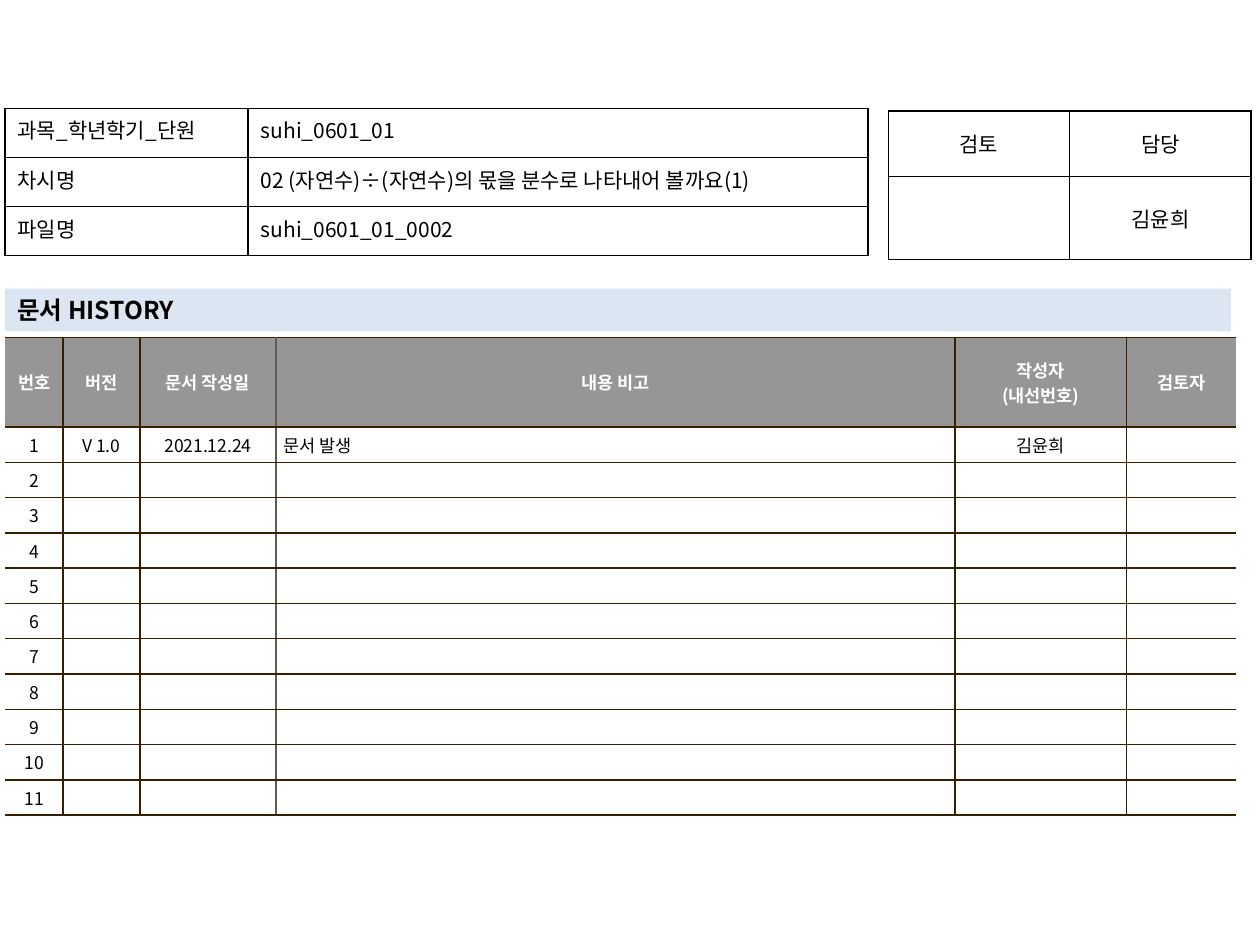
from lxml import etree
from pptx import Presentation
from pptx.dml.color import RGBColor
from pptx.enum.shapes import MSO_SHAPE
from pptx.enum.text import MSO_ANCHOR, PP_ALIGN
from pptx.oxml.ns import qn
from pptx.util import Inches, Pt

RECTANGLE = MSO_SHAPE.RECTANGLE
TOP, MIDDLE = MSO_ANCHOR.TOP, MSO_ANCHOR.MIDDLE
LEFT, CENTER, JUSTIFY = PP_ALIGN.LEFT, PP_ALIGN.CENTER, PP_ALIGN.JUSTIFY

FONT = "Noto Sans CJK KR"
COLORS = {
    "text": "000000",
    "white": "FFFFFF",
    "header": "969696",
    "banner": "DCE6F2",
    "brown": "362000",
    "taupe": "645B4C",
}
MARGIN = 0.04
VERSION_COUNT = 11
DATE_COLUMN = 2


def color(name):
    return RGBColor.from_string(COLORS[name])


def style_text(frame, size, shade="text", bold=False, align=LEFT):
    for para in frame.paragraphs:
        para.alignment = align
        for span in para.runs:
            span.font.size = Pt(size)
            span.font.name = FONT
            span.font.bold = bold
            span.font.color.rgb = color(shade)
            east_asian = etree.SubElement(span.font._element, qn("a:ea"))
            east_asian.set("typeface", FONT)
        if not para.runs:
            ending = etree.SubElement(para._p, qn("a:endParaRPr"))
            ending.set("sz", str(size * 100))


def set_borders(cell, borders):
    properties = cell._tc.get_or_add_tcPr()
    for index, side in enumerate("LRTB"):
        line = etree.Element(qn(f"a:ln{side}"), w=str(Pt(1)))
        shade = borders.get(side)
        if shade:
            fill = etree.SubElement(line, qn("a:solidFill"))
            etree.SubElement(fill, qn("a:srgbClr"), val=COLORS[shade])
        else:
            etree.SubElement(line, qn("a:noFill"))
        properties.insert(index, line)


def set_cell(cell, text, size, align, anchor=MIDDLE, inset=(0.1, 0.05),
             fill=None, shade="text", bold=False, borders=None):
    cell.text_frame.text = text
    style_text(cell.text_frame, size, shade, bold, align)
    cell.vertical_anchor = anchor
    cell.margin_left = cell.margin_right = Inches(inset[0])
    cell.margin_top = cell.margin_bottom = Inches(inset[1])
    if fill:
        cell.fill.solid()
        cell.fill.fore_color.rgb = color(fill)
    else:
        cell.fill.background()
    set_borders(cell, borders or dict.fromkeys("LRTB", "text"))


def add_grid(page, left, top, widths, heights):
    frame = page.shapes.add_table(
        len(heights), len(widths), Inches(left), Inches(top),
        Inches(sum(widths)), Inches(sum(heights)))
    table = frame.table
    table.first_row = table.horz_banding = False
    for column, width in zip(table.columns, widths):
        column.width = Inches(width)
    for row, height in zip(table.rows, heights):
        row.height = Inches(height)
    return table


def add_history(page):
    headers = ["번호", "버전", "문서 작성일", "내용 비고", "작성자\n(내선번호)", "검토자"]
    first = ["1", "V 1.0", "2021.12.24", "문서 발생", "김윤희", ""]
    blank = [""] * (len(headers) - 1)
    rows = [headers, first]
    rows += [[str(number)] + blank for number in range(2, VERSION_COUNT + 1)]
    table = add_grid(page, MARGIN, 2.68, [0.46, 0.61, 1.08, 5.39, 1.36, 0.87],
                     [0.71] + [0.28] * VERSION_COUNT)
    last = len(headers) - 1
    for row, texts in enumerate(rows):
        heading = row == 0
        for column, text in enumerate(texts):
            borders = dict.fromkeys("LRTB", "brown")
            if column == 0:
                borders["L"] = None
            if column == last:
                borders["R"] = None
            if column == DATE_COLUMN:
                borders["R"] = "taupe"
            if column == DATE_COLUMN + 1:
                borders["L"] = "taupe"
            note = column == DATE_COLUMN + 1 and not heading
            set_cell(table.cell(row, column), text, 10,
                     LEFT if note else CENTER, inset=(0.06, 0.04),
                     fill="header" if heading else "white",
                     shade="white" if heading else "text",
                     bold=heading, borders=borders)


def add_approval(page):
    table = add_grid(page, 7.05, 0.88, [1.44] * 2, [0.52, 0.66])
    for row, texts in enumerate([["검토", "담당"], ["", "김윤희"]]):
        for column, text in enumerate(texts):
            set_cell(table.cell(row, column), text, 12, CENTER)


def add_banner(page):
    banner = page.shapes.add_shape(RECTANGLE, Inches(MARGIN), Inches(2.29),
                                   Inches(9.73), Inches(0.34))
    banner.shadow.inherit = False
    banner.fill.solid()
    banner.fill.fore_color.rgb = color("banner")
    banner.line.fill.background()
    banner.text_frame.text = "문서 HISTORY"
    banner.text_frame.word_wrap = True
    banner.text_frame.vertical_anchor = MIDDLE
    style_text(banner.text_frame, 14, bold=True)


def add_document_info(page):
    rows = [
        ["과목_학년학기_단원 ", "suhi_0601_01"],
        ["차시명", "02 (자연수)÷(자연수)의 몫을 분수로 나타내어 볼까요(1)"],
        ["파일명", "suhi_0601_01_0002"],
    ]
    table = add_grid(page, MARGIN, 0.86, [1.93, 4.92], [0.39] * len(rows))
    for row, (label, value) in enumerate(rows):
        set_cell(table.cell(row, 0), label, 12, JUSTIFY, TOP)
        set_cell(table.cell(row, 1), value, 12, LEFT, TOP)


def main():
    deck = Presentation()
    deck.slide_width, deck.slide_height = Inches(10), Inches(7.5)
    page = deck.slides.add_slide(deck.slide_layouts[6])
    add_history(page)
    add_approval(page)
    add_banner(page)
    add_document_info(page)
    deck.save("out.pptx")


main()
